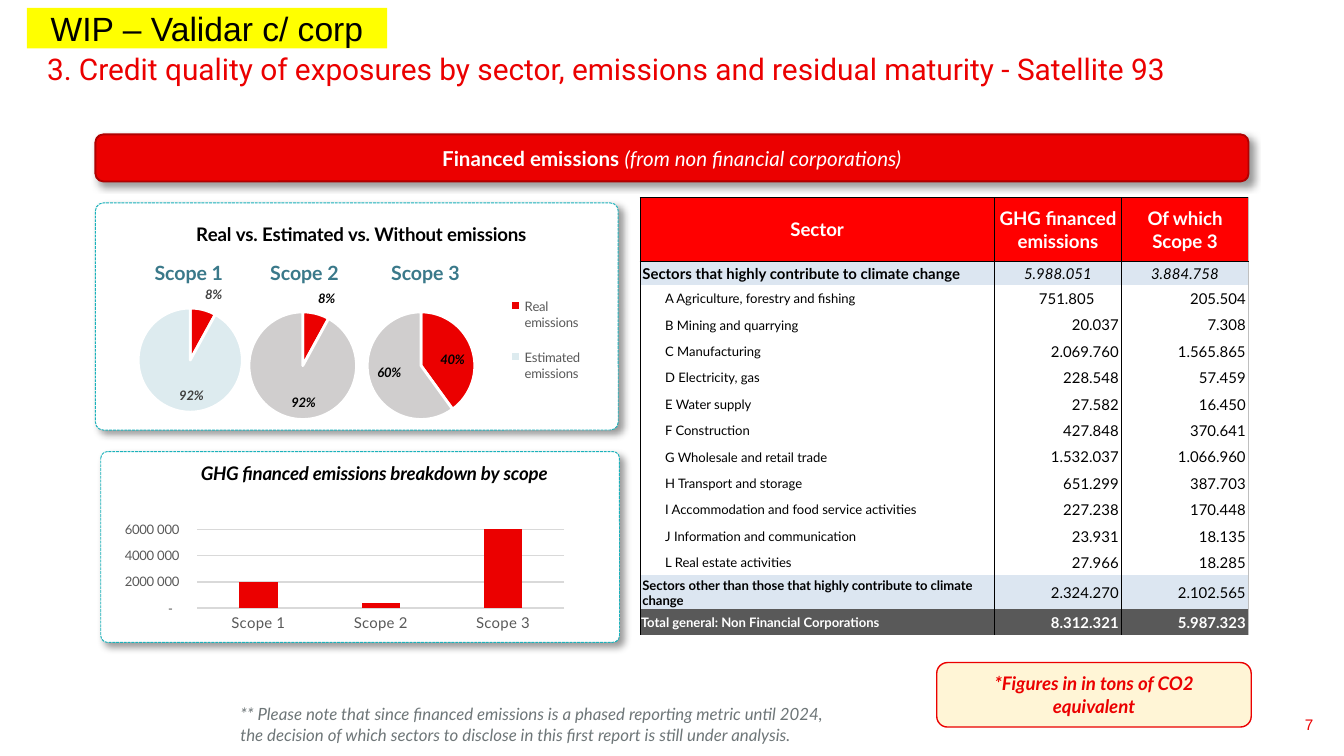
from lxml import etree
from pptx import Presentation
from pptx.chart.data import CategoryChartData
from pptx.dml.color import RGBColor
from pptx.enum.chart import XL_CHART_TYPE, XL_LABEL_POSITION, XL_LEGEND_POSITION, XL_TICK_MARK
from pptx.enum.dml import MSO_LINE
from pptx.enum.shapes import MSO_SHAPE
from pptx.enum.text import MSO_ANCHOR, PP_ALIGN
from pptx.oxml import parse_xml
from pptx.oxml.ns import nsdecls, qn
from pptx.util import Inches, Pt

LEFT, CENTER, RIGHT = PP_ALIGN.LEFT, PP_ALIGN.CENTER, PP_ALIGN.RIGHT
TOP, MIDDLE = MSO_ANCHOR.TOP, MSO_ANCHOR.MIDDLE
ROUND, RECT = MSO_SHAPE.ROUNDED_RECTANGLE, MSO_SHAPE.RECTANGLE
PIE, COLUMN = XL_CHART_TYPE.PIE, XL_CHART_TYPE.COLUMN_CLUSTERED
INSIDE, OUTSIDE = XL_LABEL_POSITION.INSIDE_END, XL_LABEL_POSITION.OUTSIDE_END
BOTTOM, NO_TICK, DASH = XL_LEGEND_POSITION.BOTTOM, XL_TICK_MARK.NONE, MSO_LINE.SQUARE_DOT
NO_TABLE_STYLE = "{2D5ABB26-0587-4C30-8999-92F81FD0307C}"

RED, BLACK, WHITE, GREY, TEAL = "EB0000", "000000", "FFFFFF", "595959", "3A798A"

SECTORS = [
    ("A Agriculture, forestry and fishing", "751.805", "205.504"),
    ("B Mining and quarrying", "20.037", "7.308"),
    ("C Manufacturing", "2.069.760", "1.565.865"),
    ("D Electricity, gas", "228.548", "57.459"),
    ("E Water supply", "27.582", "16.450"),
    ("F Construction", "427.848", "370.641"),
    ("G Wholesale and retail trade", "1.532.037", "1.066.960"),
    ("H Transport and storage", "651.299", "387.703"),
    ("I Accommodation and food service activities", "227.238", "170.448"),
    ("J Information and communication", "23.931", "18.135"),
    ("L Real estate activities", "27.966", "18.285"),
]


def rgb(value):
    return RGBColor.from_string(value)


def inches(box):
    return [Inches(v) for v in box]


def set_font(font, size, color, style="", name="Lato"):
    """Format a font; style holds "b" for bold and "i" for italic."""
    font.size, font.name = Pt(size), name
    font.bold, font.italic = "b" in style, "i" in style
    font.color.rgb = rgb(color)


def add_run(p, text, *look):
    r = p.add_run()
    r.text = text
    set_font(r.font, *look)


def set_text(tf, runs, align=LEFT, anchor=TOP):
    tf.word_wrap, tf.vertical_anchor = True, anchor
    p = tf.paragraphs[0]
    p.alignment = align
    for run in runs:
        add_run(p, *run)


def add_text(slide, box, run, align=LEFT):
    set_text(slide.shapes.add_textbox(*inches(box)).text_frame, [run], align)


def add_box(slide, box, kind, fill, line=None, width=1.0, shadow=False):
    sp = slide.shapes.add_shape(kind, *inches(box))
    sp.shadow.inherit = False
    sp.fill.solid()
    sp.fill.fore_color.rgb = rgb(fill)
    if line:
        sp.line.color.rgb = rgb(line)
        sp.line.width = Pt(width)
    else:
        sp.line.fill.background()
    if shadow:
        effects = sp.element.spPr.find(qn("a:effectLst"))
        effects.append(parse_xml(
            f'<a:outerShdw {nsdecls("a")} blurRad="{Pt(4)}" dist="{Pt(3)}" dir="2700000" '
            'algn="tl" rotWithShape="0"><a:srgbClr val="000000"><a:alpha val="40000"/>'
            '</a:srgbClr></a:outerShdw>'))
    return sp


def add_panel(slide, box):
    sp = add_box(slide, box, ROUND, WHITE, "1AB2BB", 0.5, shadow=True)
    sp.adjustments[0] = 0.035
    sp.line.dash_style = DASH


def set_layout(parent, index, box, inner=False):
    """Place a title, plot area or legend at fractions of its chart."""
    for old in parent.findall(qn("c:layout")):
        parent.remove(old)
    layout = parse_xml(f'<c:layout {nsdecls("c")}><c:manualLayout/></c:layout>')
    tags = [("layoutTarget", "inner")] if inner else []
    tags += [("xMode", "edge"), ("yMode", "edge"), *zip("xywh", box)]
    for tag, value in tags:
        etree.SubElement(layout[0], qn(f"c:{tag}")).set("val", str(value))
    parent.insert(index, layout)


def add_chart(slide, box, kind, cats, values, plot, title=None, style="b"):
    data = CategoryChartData()
    data.categories = cats
    data.add_series("Series 1", values)
    chart = slide.shapes.add_chart(kind, *inches(box), data).chart
    set_font(chart.font, 10, BLACK)
    chart.has_legend = False
    chart.has_title = bool(title)
    if title:
        add_run(chart.chart_title.text_frame.paragraphs[0], title, 10, BLACK, style)
        chart.chart_title.include_in_layout = False
        set_layout(chart.chart_title._element, 1, (0.16, 0.04))
    set_layout(chart.element.find(f'.//{qn("c:plotArea")}'), 0, plot, inner=True)
    return chart


def add_pie(slide, box, cats, values, rest_color, label_color, plot, title=None):
    chart = add_chart(slide, box, PIE, cats, values, plot, title)
    pie = chart.plots[0]
    pie.vary_by_categories = False
    for i, (value, color) in enumerate(zip(values, (RED, rest_color))):
        point = pie.series[0].points[i]
        point.format.fill.solid()
        point.format.fill.fore_color.rgb = rgb(color)
        point.format.line.color.rgb = rgb(WHITE)
        point.format.line.width = Pt(1.5)
        label = point.data_label
        set_font(label.font, 7, label_color, "bi")
        label.position = OUTSIDE if value < 10 else INSIDE
    labels = pie.series[0].data_labels
    set_font(labels.font, 7, label_color, "bi")
    for tag, shown in (("c:showVal", "0"), ("c:showPercent", "1")):
        for flag in chart.element.iter(qn(tag)):
            flag.set("val", shown)
    return chart


def add_scope_pies(slide, x, y):
    add_panel(slide, (x, y, 3.89, 1.69))
    for i, offset in enumerate((0.3, 1.16, 2.06)):
        add_text(slide, (x + offset, y + 0.38, 0.79, 0.29),
                 (f"Scope {i + 1}", 10.5, TEAL, "b"), CENTER)
    chart = add_pie(slide, (x + 0.12, y + 0.04, 3.78, 1.65),
                    ["Real emissions", "Estimated emissions"], (8, 92), "DDEBEF", "404040",
                    (0.05, 0.45, 0.21, 0.47), "Real vs. Estimated vs. Without emissions")
    chart.has_legend = True
    chart.legend.position = BOTTOM
    chart.legend.include_in_layout = False
    set_font(chart.legend.font, 7, GREY)
    set_layout(chart.legend._element, 1, (0.77, 0.32, 0.17, 0.55))
    for offset, values in ((0.73, (8, 92)), (1.61, (40, 60))):
        add_pie(slide, (x + offset, y + 0.38, 1.73, 1.54), ["1", "2"], values,
                "D0CECE", BLACK, (0.22, 0.28, 0.5, 0.52))


def add_scope_columns(slide, x, y):
    add_panel(slide, (x, y, 3.86, 1.42))
    chart = add_chart(slide, (x + 0.12, y - 0.02, 3.74, 1.52), COLUMN,
                      ["Scope 1", "Scope 2", "Scope 3"], (2000000, 400000, 6000000),
                      (0.16, 0.33, 0.73, 0.45), "GHG financed emissions breakdown by scope", "bi")
    plot = chart.plots[0]
    plot.vary_by_categories, plot.gap_width, plot.overlap = False, 219, -27
    fill = plot.series[0].format.fill
    fill.solid()
    fill.fore_color.rgb = rgb(RED)
    cat, val = chart.category_axis, chart.value_axis
    for axis, size in ((cat, 8), (val, 7)):
        axis.major_tick_mark = axis.minor_tick_mark = NO_TICK
        set_font(axis.tick_labels.font, size, GREY)
    val.minimum_scale, val.maximum_scale, val.major_unit = 0, 7000000, 2000000
    val.tick_labels.number_format = '#\\ ##0\\ _€_-;\\-#\\ ##0\\ _€_-;"-"\\ _€_€_-'
    val.tick_labels.number_format_is_linked = False
    val.format.line.fill.background()
    for line in (cat.format.line, val.major_gridlines.format.line):
        line.color.rgb = rgb("D9D9D9")
        line.width = Pt(0.75)


def set_borders(cell, **sides):
    """Draw cell borders given as L, R, T, B = (colour, points)."""
    tc_pr = cell._tc.get_or_add_tcPr()
    for i, (side, (color, width)) in enumerate(sides.items()):
        tc_pr.insert(i, parse_xml(
            f'<a:ln{side} {nsdecls("a")} w="{Pt(width)}"><a:solidFill>'
            f'<a:srgbClr val="{color}"/></a:solidFill></a:ln{side}>'))


def fill_cell(cell, text, look, align, fill, left=0.01, right=0.01):
    cell.margin_left, cell.margin_right = Inches(left), Inches(right)
    cell.margin_top, cell.margin_bottom = Inches(0.01), 0
    cell.vertical_anchor = MIDDLE
    tf = cell.text_frame
    for i, line in enumerate(text.split("\n")):
        p = tf.paragraphs[0] if i == 0 else tf.add_paragraph()
        p.alignment = align
        add_run(p, line, *look)
    if fill:
        cell.fill.solid()
        cell.fill.fore_color.rgb = rgb(fill)
    else:
        cell.fill.background()


def add_sector_table(slide, x, y, w, h):
    # Each row: texts, label look, value look, value alignment, fill, label indent
    rows = [
        (("Sector", "GHG financed emissions", "Of which\nScope 3"),
         (10, WHITE, "b"), (10, WHITE, "b"), CENTER, "FF0000", 0.01),
        (("Sectors that highly contribute to climate change", "5.988.051", "3.884.758"),
         (8, BLACK, "b"), (8, BLACK, "i"), CENTER, "DCE6F1", 0.02),
        *[(sector, (7, BLACK), (8, BLACK), RIGHT, None, 0.19) for sector in SECTORS],
        (("Sectors other than those that highly contribute to climate change",
          "2.324.270", "2.102.565"), (7, BLACK, "b"), (8, BLACK), RIGHT, "DCE6F1", 0.02),
        (("Total general: Non Financial Corporations", "8.312.321", "5.987.323"),
         (7, WHITE, "b"), (8, WHITE, "b"), RIGHT, GREY, 0.01),
    ]
    frame = slide.shapes.add_table(len(rows), 3, *inches((x, y, w, h)))
    frame.element.find(f'.//{qn("a:tableStyleId")}').text = NO_TABLE_STYLE
    table = frame.table
    table.first_row = table.horz_banding = False
    for i, width in enumerate((2.64, (w - 2.64) / 2, (w - 2.64) / 2)):
        table.columns[i].width = Inches(width)
    special = {0: 0.47, 1: 0.18, len(rows) - 2: 0.25}
    plain = (h - sum(special.values())) / (len(rows) - len(special))
    thin = (BLACK, 0.25)
    for i, (texts, label, value, align, fill, indent) in enumerate(rows):
        table.rows[i].height = Inches(special.get(i, plain))
        for j, text in enumerate(texts):
            cell = table.cell(i, j)
            if j == 0:
                fill_cell(cell, text, label, CENTER if i == 0 else LEFT, fill, indent)
            else:
                right = 0.2 if text == "751.805" else 0.02 if align == RIGHT else 0.01
                fill_cell(cell, text, value, align, fill, right=right)
            sides = {"L": thin, "R": ("BFBFBF", 1) if j == 2 else thin}
            if i == 0:
                sides.update(T=thin, B=thin)
            set_borders(cell, **sides)


def add_header(slide):
    title = slide.shapes.title
    title.left, title.top, title.width, title.height = inches((0.35, 0.38, 9.29, 0.27))
    tf = title.text_frame
    tf.margin_left = tf.margin_right = tf.margin_top = tf.margin_bottom = 0
    set_text(tf, [("3. Credit quality of exposures by sector, emissions and residual maturity"
                   " - Satellite 93", 16, RED, "", "Roboto")])
    tag = add_box(slide, (0.2, 0.06, 2.68, 0.3), RECT, "FFFF00")
    set_text(tag.text_frame, [("WIP – Validar c/ corp", 18, BLACK, "", "Arial")], CENTER, MIDDLE)
    banner = add_box(slide, (0.71, 1, 8.58, 0.35), ROUND, RED, "B00000", shadow=True)
    set_text(banner.text_frame, [("Financed emissions ", 11, WHITE, "b"),
                                 ("(from non financial corporations)", 11, WHITE, "i")],
             CENTER, MIDDLE)


def add_footer(slide):
    units = add_box(slide, (6.97, 4.93, 2.34, 0.48), ROUND, "FFF5D6", RED, 0.75)
    set_text(units.text_frame, [("*Figures in in tons of CO2 equivalent", 10, RED, "bi")], CENTER)
    add_text(slide, (1.69, 5.19, 4.65, 0.4),
             ("** Please note that since financed emissions is a phased reporting metric until "
              "2024, the decision of which sectors to disclose in this first report is still "
              "under analysis.", 9, "6E7678", "i"))
    add_text(slide, (7.62, 5.27, 2.25, 0.3), ("7", 8.2, RED, "", "Arial"), RIGHT)


def main():
    prs = Presentation()
    prs.slide_width = Inches(10)
    prs.slide_height = prs.slide_width * 9 // 16
    slide = prs.slides.add_slide(prs.slide_layouts[5])
    add_header(slide)
    add_scope_pies(slide, 0.71, 1.51)
    add_scope_columns(slide, 0.75, 3.36)
    add_sector_table(slide, 4.76, 1.47, 4.53, 3.26)
    add_footer(slide)
    prs.save("out.pptx")


if __name__ == "__main__":
    main()
